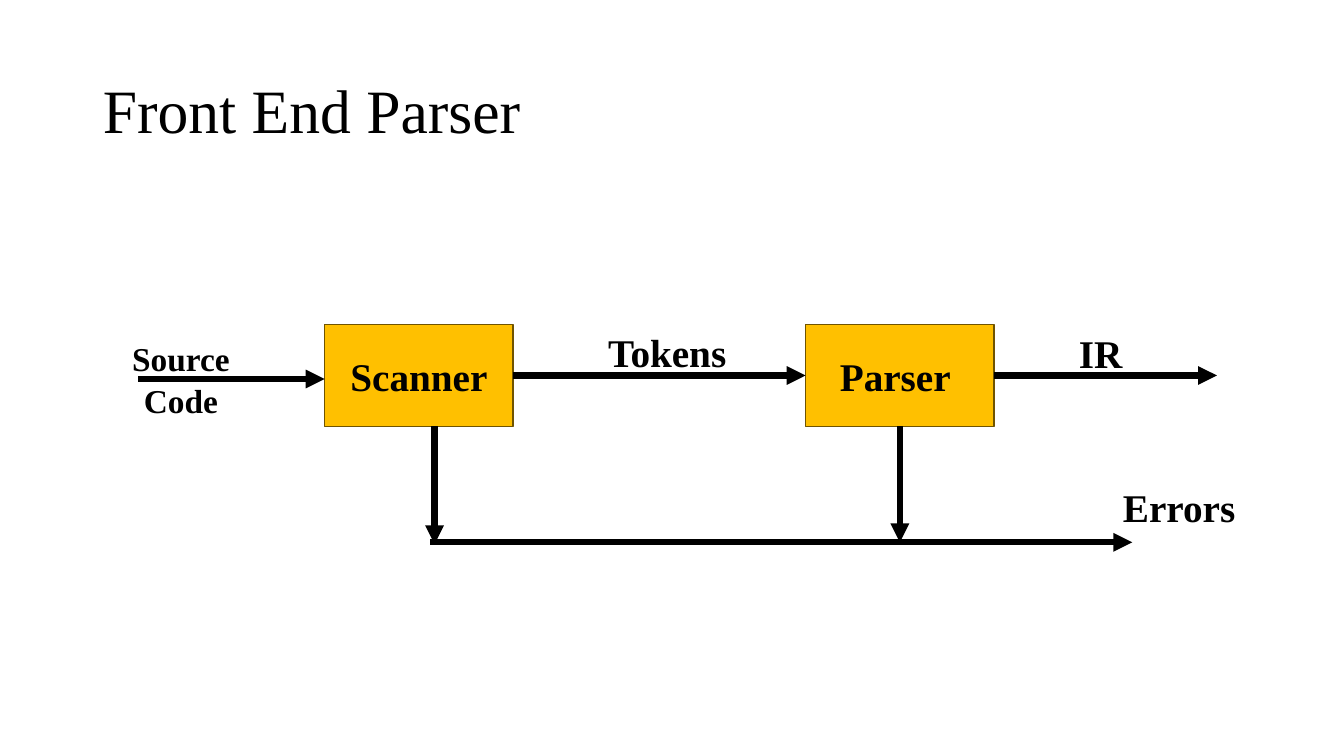
from dataclasses import dataclass

from lxml import etree
from pptx import Presentation
from pptx import util as u
from pptx.dml.color import RGBColor
from pptx.enum import shapes, text
from pptx.oxml.ns import qn
from pptx.shapes.autoshape import Shape
from pptx.slide import Slide
from pptx.text.text import TextFrame


@dataclass(frozen=True)
class Theme:
    font: str = "Times New Roman"
    ink: RGBColor = RGBColor(0x00, 0x00, 0x00)
    box_fill: RGBColor = RGBColor(0xFF, 0xC0, 0x00)
    box_line: RGBColor = RGBColor(0x70, 0x54, 0x00)
    title_size: float = 44
    label_size: float = 28
    source_size: float = 23.8
    box_line_width: float = 1
    arrow_width: float = 4.5


@dataclass(frozen=True)
class Label:
    lines: tuple[str, ...]
    left: float
    top: float
    size: float
    spacing: float = 0.9


@dataclass(frozen=True)
class Stage:
    name: str
    left: float


@dataclass(frozen=True)
class Arrow:
    start: tuple[float, float]
    end: tuple[float, float]
    begin_join: tuple[str, int] | None = None
    end_join: tuple[str, int] | None = None


THEME = Theme()
LABEL_WIDTH, LABEL_HEIGHT = 2.09, 0.88
STAGE_TOP, STAGE_WIDTH, STAGE_HEIGHT = 3.22, 1.87, 1.01
STAGE_BOTTOM = STAGE_TOP + STAGE_HEIGHT
FLOW_Y = STAGE_TOP + STAGE_HEIGHT / 2
SOURCE_Y = 3.76
ERROR_Y = 5.38
SCANNER = Stage("Scanner", 3.22)
PARSER = Stage("Parser ", 7.99)
SCANNER_RIGHT = SCANNER.left + STAGE_WIDTH
PARSER_RIGHT = PARSER.left + STAGE_WIDTH
PARSER_MIDDLE = PARSER.left + STAGE_WIDTH / 2
LEFT, BOTTOM, RIGHT = 1, 2, 3

LABELS = (
    Label(("Source ", "Code "), 0.79, 3.41, THEME.source_size, 0.7),
    Label(("Tokens ",), 5.62, 3.26, THEME.label_size),
    Label(("IR",), 9.87, 3.27, THEME.label_size),
    Label(("Errors",), 10.65, 4.8, THEME.label_size),
)

ARROWS = (
    Arrow((1.37, SOURCE_Y), (SCANNER.left, SOURCE_Y)),
    Arrow((SCANNER_RIGHT, FLOW_Y), (PARSER.left, FLOW_Y),
          (SCANNER.name, RIGHT), (PARSER.name, LEFT)),
    Arrow((PARSER_RIGHT, FLOW_Y), (12.07, FLOW_Y), (PARSER.name, RIGHT)),
    Arrow((4.31, STAGE_BOTTOM), (4.31, 5.4)),
    Arrow((PARSER_MIDDLE, STAGE_BOTTOM), (PARSER_MIDDLE, ERROR_Y), (PARSER.name, BOTTOM)),
    Arrow((4.27, ERROR_Y), (11.23, ERROR_Y)),
)


def write(frame: TextFrame, lines: tuple[str, ...], *, size: float, bold: bool = True,
          align: text.PP_ALIGN = text.PP_ALIGN.CENTER, spacing: float = 1.0,
          anchor: text.MSO_ANCHOR = text.MSO_ANCHOR.MIDDLE) -> None:
    """Fill a frame with one paragraph per line."""
    frame.word_wrap = True
    frame.auto_size = text.MSO_AUTO_SIZE.NONE
    frame.vertical_anchor = anchor
    for index, line in enumerate(lines):
        para = frame.add_paragraph() if index else frame.paragraphs[0]
        para.alignment = align
        para.line_spacing = spacing
        para.space_before = u.Pt(10 if index else 0)
        span = para.add_run()
        span.text = line
        span.font.name = THEME.font
        span.font.size = u.Pt(size)
        span.font.bold = bold
        span.font.color.rgb = THEME.ink


def set_title(page: Slide, title: str) -> None:
    holder = page.shapes.title
    holder.left, holder.top = u.Inches(0.92), u.Inches(0.4)
    holder.width, holder.height = u.Inches(11.5), u.Inches(1.45)
    write(holder.text_frame, (title,), size=THEME.title_size, bold=False,
          align=text.PP_ALIGN.LEFT, spacing=0.9)


def add_label(page: Slide, label: Label) -> None:
    box = page.shapes.add_textbox(u.Inches(label.left), u.Inches(label.top),
                                  u.Inches(LABEL_WIDTH), u.Inches(LABEL_HEIGHT))
    write(box.text_frame, label.lines, size=label.size, spacing=label.spacing,
          anchor=text.MSO_ANCHOR.TOP)


def add_stage(page: Slide, stage: Stage) -> Shape:
    box = page.shapes.add_shape(shapes.MSO_SHAPE.RECTANGLE,
                                u.Inches(stage.left), u.Inches(STAGE_TOP),
                                u.Inches(STAGE_WIDTH), u.Inches(STAGE_HEIGHT))
    box.shadow.inherit = False
    box.fill.solid()
    box.fill.fore_color.rgb = THEME.box_fill
    box.line.color.rgb = THEME.box_line
    box.line.width = u.Pt(THEME.box_line_width)
    write(box.text_frame, (stage.name,), size=THEME.label_size)
    return box


def add_arrow(page: Slide, arrow: Arrow, boxes: dict[str, Shape]) -> None:
    line = page.shapes.add_connector(shapes.MSO_CONNECTOR.STRAIGHT,
                                     *(u.Inches(value) for value in arrow.start + arrow.end))
    if arrow.begin_join:
        name, side = arrow.begin_join
        line.begin_connect(boxes[name], side)
    if arrow.end_join:
        name, side = arrow.end_join
        line.end_connect(boxes[name], side)
    line.line.color.rgb = THEME.ink
    line.line.width = u.Pt(THEME.arrow_width)
    # Arrowhead and empty effect list
    properties = line._element.spPr
    etree.SubElement(properties.find(qn("a:ln")), qn("a:tailEnd"), type="triangle")
    etree.SubElement(properties, qn("a:effectLst"))


def main() -> None:
    deck = Presentation()
    deck.slide_width, deck.slide_height = u.Inches(13.33), u.Inches(7.5)
    page = deck.slides.add_slide(deck.slide_layouts.get_by_name("Title Only"))

    # Title and labels
    set_title(page, "Front End Parser")
    for label in LABELS:
        add_label(page, label)

    # Stages and the arrows between them
    boxes = {stage.name: add_stage(page, stage) for stage in (SCANNER, PARSER)}
    for arrow in ARROWS:
        add_arrow(page, arrow, boxes)

    deck.save("out.pptx")


if __name__ == "__main__":
    main()
